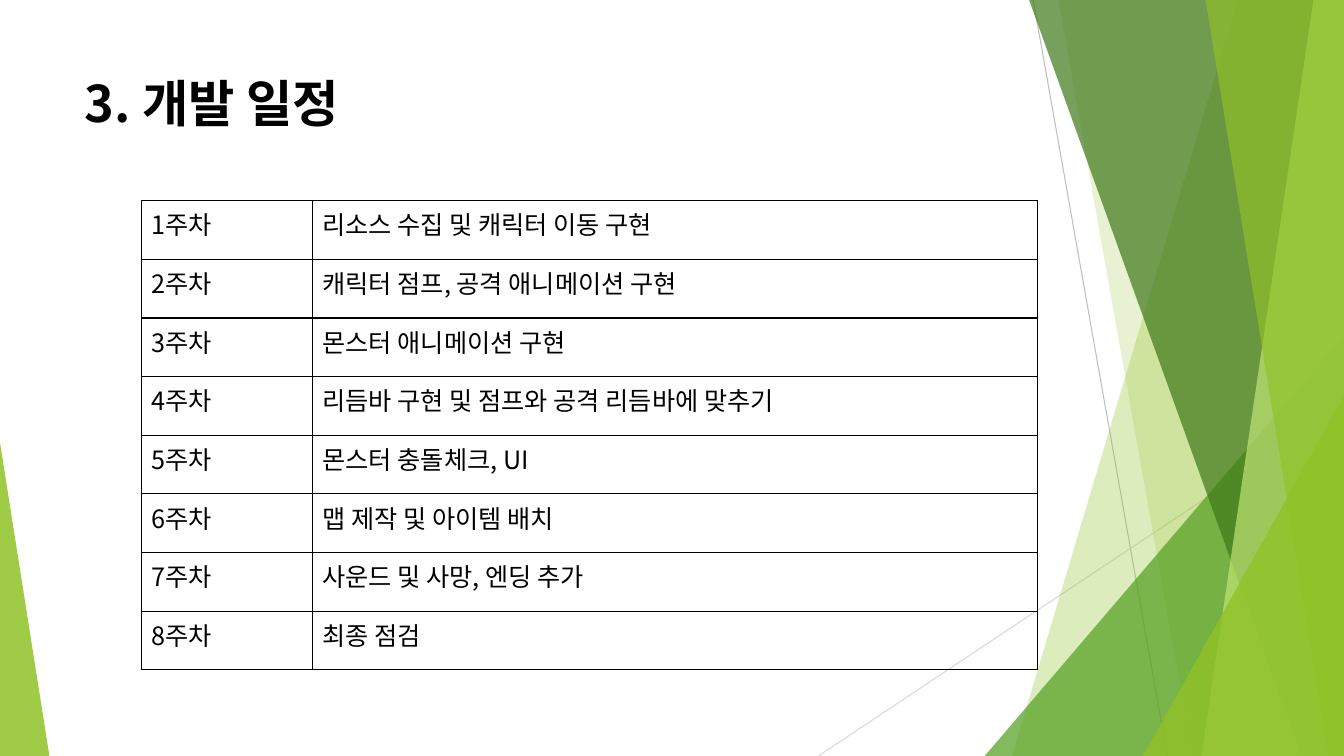
"""Build the development schedule slide with its green facet backdrop."""
from dataclasses import dataclass

import lxml.etree
import pptx
import pptx.dml.color
import pptx.enum.shapes
import pptx.enum.text
import pptx.oxml.ns
import pptx.presentation
import pptx.shapes.autoshape
import pptx.slide
import pptx.table
import pptx.text.text
import pptx.util

Pt = pptx.util.Pt
RGBColor = pptx.dml.color.RGBColor
qn = pptx.oxml.ns.qn

WIDTH, HEIGHT = 960, 540
FONT = "Noto Sans CJK KR"
BLACK = RGBColor(0x00, 0x00, 0x00)
SILVER = RGBColor(0xBF, 0xBF, 0xBF)
PALE = RGBColor(0xD9, 0xD9, 0xD9)
LIME = RGBColor(0x90, 0xC2, 0x26)
GREEN = RGBColor(0x54, 0xA0, 0x21)
FOREST = RGBColor(0x3F, 0x78, 0x19)
MINT = RGBColor(0xC0, 0xE4, 0x74)


@dataclass(frozen=True)
class Ray:
    """A thin line between two points."""
    left: float
    top: float
    right: float
    base: float
    color: RGBColor


@dataclass(frozen=True)
class Band:
    """A full-height facet reaching the right edge of the slide."""
    top: float
    base: float
    color: RGBColor
    alpha: int


@dataclass(frozen=True)
class Wedge:
    """A right triangle standing on the bottom edge of the slide."""
    left: float
    top: float
    width: float
    apex: float
    color: RGBColor
    alpha: int


RAYS = [
    Ray(738, 0, 833.8, HEIGHT, SILVER),
    Ray(WIDTH, 290.2, 584.6, HEIGHT, PALE),
]
FACETS = [
    Band(884.2, 722.9, LIME, 30),
    Band(756, 851.8, LIME, 20),
    Wedge(703.4, 239.8, 256.6, 1, GREEN, 72),
    Band(735.1, 929.5, FOREST, 70),
    Band(938.2, 858.2, MINT, 70),
    Band(861.1, 949, LIME, 65),
    Wedge(816.5, 283, 143.5, 1, LIME, 80),
    Wedge(0, 316.1, 35.3, 0, LIME, 85),
]
TASKS = [
    "리소스 수집 및 캐릭터 이동 구현",
    "캐릭터 점프, 공격 애니메이션 구현",
    "몬스터 애니메이션 구현",
    "리듬바 구현 및 점프와 공격 리듬바에 맞추기",
    "몬스터 충돌체크, UI",
    "맵 제작 및 아이템 배치",
    "사운드 및 사망, 엔딩 추가",
    "최종 점검",
]


def draw_ray(slide: pptx.slide.Slide, ray: Ray) -> None:
    """Draw one thin line without a shadow."""
    line = slide.shapes.add_connector(
        pptx.enum.shapes.MSO_CONNECTOR.STRAIGHT,
        Pt(ray.left), Pt(ray.top), Pt(ray.right), Pt(ray.base))
    line.line.color.rgb = ray.color
    line.line.width = Pt(0.75)
    lxml.etree.SubElement(line._element.spPr, qn("a:effectLst"))


def paint(shape: pptx.shapes.autoshape.Shape, color: RGBColor, alpha: int) -> None:
    """Give a shape a translucent fill and no outline."""
    shape.shadow.inherit = False
    shape.line.fill.background()
    shape.fill.solid()
    shape.fill.fore_color.rgb = color
    tint = shape._element.spPr.find(qn("a:solidFill"))[0]
    lxml.etree.SubElement(tint, qn("a:alpha"), val=str(alpha * 1000))


def draw_facet(slide: pptx.slide.Slide, facet: Band | Wedge) -> None:
    """Draw one facet of the backdrop."""
    if isinstance(facet, Band):
        pen = slide.shapes.build_freeform(Pt(facet.top), 0)
        pen.add_line_segments([
            (Pt(WIDTH), 0), (Pt(WIDTH), Pt(HEIGHT)), (Pt(facet.base), Pt(HEIGHT))])
        shape = pen.convert_to_shape()
    else:
        shape = slide.shapes.add_shape(
            pptx.enum.shapes.MSO_SHAPE.ISOSCELES_TRIANGLE, Pt(facet.left),
            Pt(facet.top), Pt(facet.width), Pt(HEIGHT - facet.top))
        shape.adjustments[0] = facet.apex
    paint(shape, facet.color, facet.alpha)


def write(frame: pptx.text.text.TextFrame, text: str, size: int, bold: bool) -> None:
    """Set left-aligned black text in the slide font."""
    frame.text = text
    line = frame.paragraphs[0]
    line.alignment = pptx.enum.text.PP_ALIGN.LEFT
    for run in line.runs:
        run.font.size = Pt(size)
        run.font.bold = bold
        run.font.name = FONT
        run.font.color.rgb = BLACK
        lxml.etree.SubElement(run.font._element, qn("a:ea"), typeface=FONT)


def draw_title(slide: pptx.slide.Slide) -> None:
    """Place and fill the title."""
    title = slide.shapes.title
    title.left, title.top = Pt(53.3), Pt(48.2)
    title.width, title.height = Pt(676.8), Pt(103.7)
    frame = title.text_frame
    frame.word_wrap = True
    frame.auto_size = pptx.enum.text.MSO_AUTO_SIZE.NONE
    frame.vertical_anchor = pptx.enum.text.MSO_ANCHOR.TOP
    write(frame, "3. 개발 일정", 36, True)


def fill_cell(cell: pptx.table._Cell, text: str) -> None:
    """Write one cell, with black borders and no fill."""
    write(cell.text_frame, text, 18, False)
    props = cell._tc.get_or_add_tcPr()
    for side in "LRTB":
        edge = lxml.etree.SubElement(props, qn(f"a:ln{side}"), w=str(Pt(1)))
        fill = lxml.etree.SubElement(edge, qn("a:solidFill"))
        lxml.etree.SubElement(fill, qn("a:srgbClr"), val=str(BLACK))
    cell.fill.background()


def draw_table(slide: pptx.slide.Slide) -> None:
    """Draw the weekly schedule."""
    table = slide.shapes.add_table(
        len(TASKS), 2, Pt(101), Pt(143.3), Pt(640), Pt(335.2)).table
    table.first_row = table.horz_banding = False
    table.columns[0].width, table.columns[1].width = Pt(122.2), Pt(517.8)
    for week, task in enumerate(TASKS, 1):
        fill_cell(table.cell(week - 1, 0), f"{week}주차")
        fill_cell(table.cell(week - 1, 1), task)


def main() -> None:
    """Build and save the deck."""
    deck = pptx.Presentation()
    deck.slide_width, deck.slide_height = Pt(WIDTH), Pt(HEIGHT)
    slide = deck.slides.add_slide(deck.slide_layouts[5])
    for ray in RAYS:
        draw_ray(slide, ray)
    for facet in FACETS:
        draw_facet(slide, facet)
    draw_title(slide)
    draw_table(slide)
    deck.save("out.pptx")


if __name__ == "__main__":
    main()
